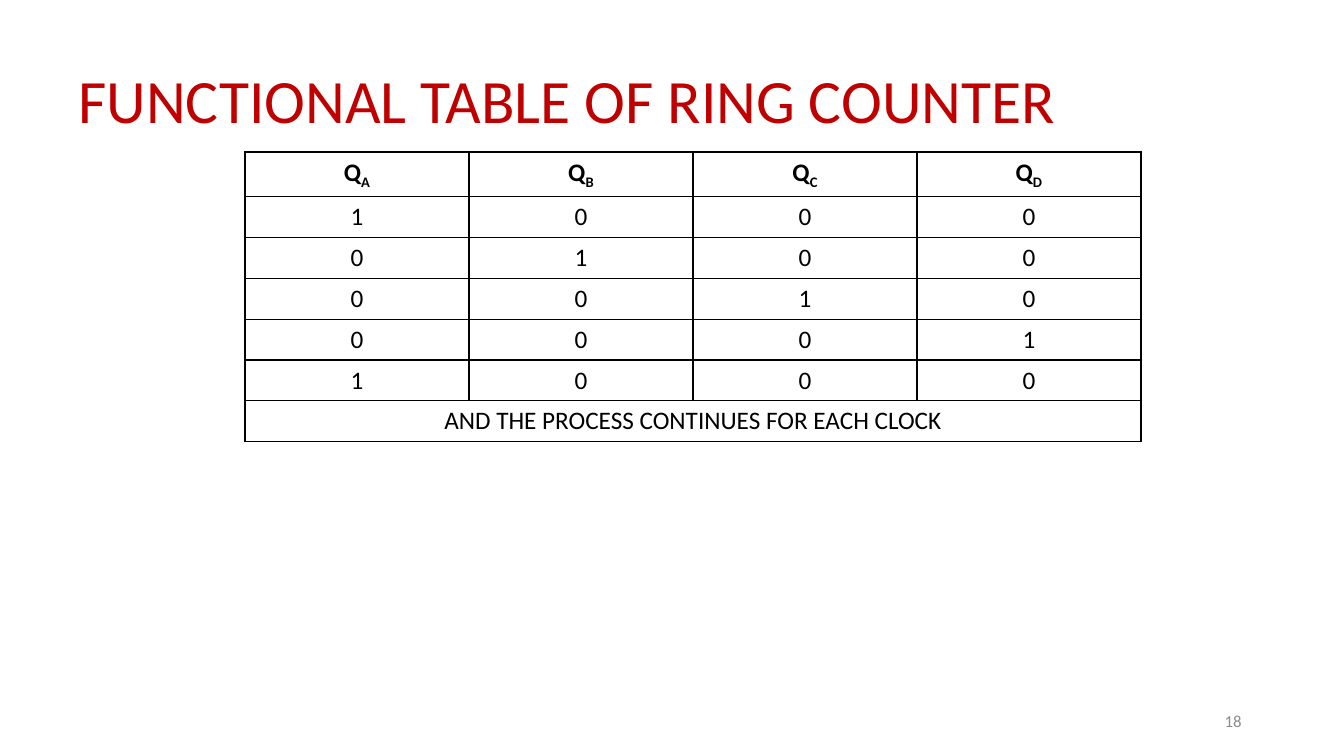
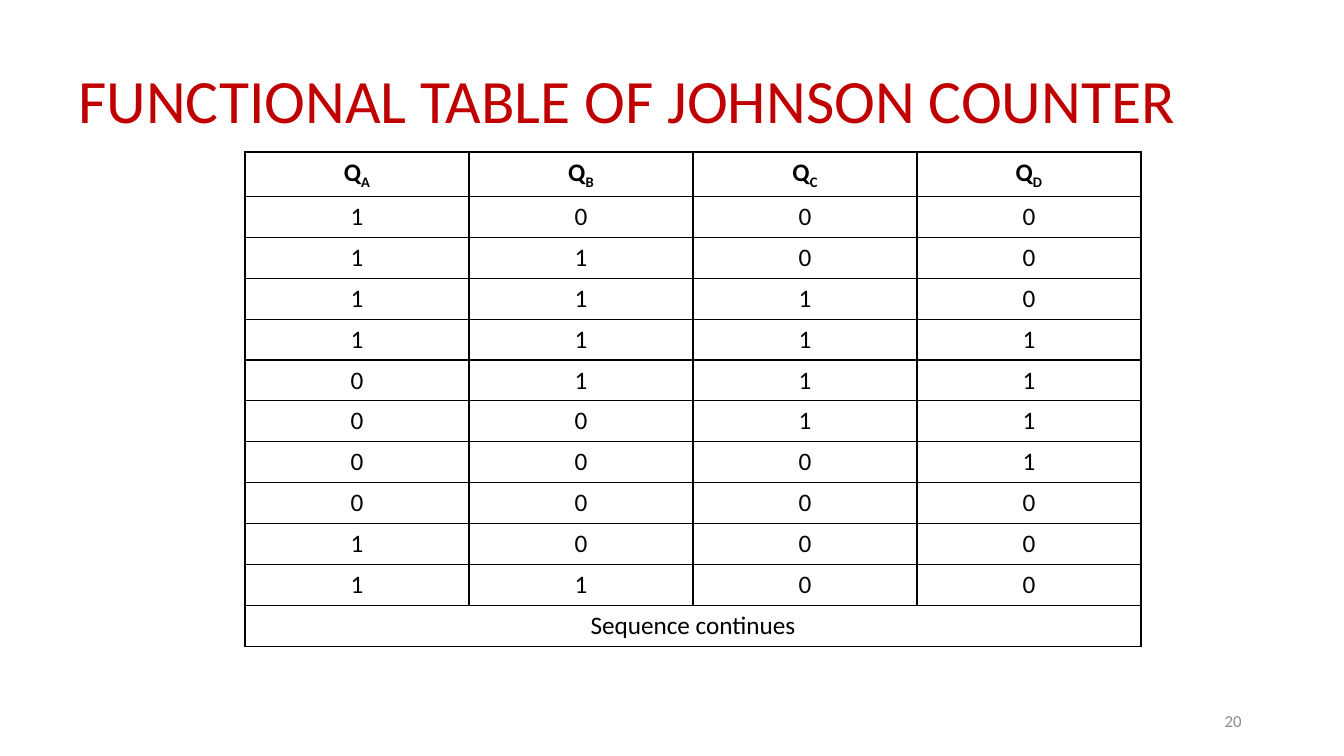
from pptx import Presentation
from pptx.dml.color import RGBColor
from pptx.enum import text as t
from pptx.oxml import parse_xml
from pptx.oxml.ns import nsdecls
from pptx.util import Pt

FACE = "Calibri"
RED, GREY, BLACK = "C00000", "8C8C8C", "000000"
ALIGN = t.PP_ALIGN
LEFT, TOP, WIDTH, ROW = 175, 108.6, 640, 29.2

RING = ["1000", "0100", "0010", "0001", "1000"]
JOHNSON = ["1000", "1100", "1110", "1111", "0111",
           "0011", "0001", "0000", "1000", "1100"]


def style(para, size, color, align=ALIGN.LEFT, bold=False):
    para.alignment = align
    font = para.font
    font.name, font.size, font.bold = FACE, Pt(size), bold
    font.color.rgb = RGBColor.from_string(color)


def add_text(slide, box, words, size, color, align=ALIGN.LEFT):
    frame = slide.shapes.add_textbox(*map(Pt, box)).text_frame
    frame.word_wrap = True
    frame.vertical_anchor = t.MSO_ANCHOR.MIDDLE
    para = frame.paragraphs[0]
    para.add_run().text = words
    style(para, size, color, align)
    return para


def add_border(cell):
    props = cell._tc.get_or_add_tcPr()
    for side in "LRTB":
        props.append(parse_xml(
            f'<a:ln{side} {nsdecls("a")} w="{Pt(1)}"><a:solidFill>'
            f'<a:srgbClr val="{BLACK}"/></a:solidFill></a:ln{side}>'))


def fill_cell(cell, words, sub="", bold=False):
    """Write centred text, with an optional subscript after it."""
    para = cell.text_frame.paragraphs[0]
    para.add_run().text = words
    if sub:
        run = para.add_run()
        run.text = sub
        run._r.get_or_add_rPr().set("baseline", "-25000")
    style(para, 18, BLACK, ALIGN.CENTER, bold)


def add_states(slide, states, note):
    """Add the table of counter states, closed by a note across all columns."""
    outs = "ABCD"
    rows, cols = len(states) + 2, len(outs)
    table = slide.shapes.add_table(
        rows, cols, Pt(LEFT), Pt(TOP), Pt(WIDTH), Pt(ROW * rows)).table
    table.horz_banding = False
    for col in table.columns:
        col.width = Pt(WIDTH / cols)
    for row in table.rows:
        row.height = Pt(ROW)
    for cell in table.iter_cells():
        add_border(cell)
        cell.fill.background()
    for c, out in enumerate(outs):
        fill_cell(table.cell(0, c), "Q", out, bold=True)
    for r, state in enumerate(states, 1):
        for c, bit in enumerate(state):
            fill_cell(table.cell(r, c), bit)
    last = table.cell(rows - 1, 0)
    last.merge(table.cell(rows - 1, cols - 1))
    fill_cell(last, note)


def add_page(deck, title, number, states, note):
    slide = deck.slides.add_slide(deck.slide_layouts[6])
    head = add_text(slide, (49, 21.6, 892, 104.4), title, 44, RED)
    head.line_spacing = 0.9
    add_text(slide, (678, 500.4, 216, 28.8), number, 12, GREY, ALIGN.RIGHT)
    add_states(slide, states, note)


def main():
    deck = Presentation()
    deck.slide_width, deck.slide_height = Pt(960), Pt(540)
    add_page(deck, "FUNCTIONAL TABLE OF RING COUNTER", "18", RING,
             "AND THE PROCESS CONTINUES FOR EACH CLOCK")
    add_page(deck, "FUNCTIONAL TABLE OF JOHNSON COUNTER", "20", JOHNSON,
             "Sequence continues")
    deck.save("out.pptx")


if __name__ == "__main__":
    main()
